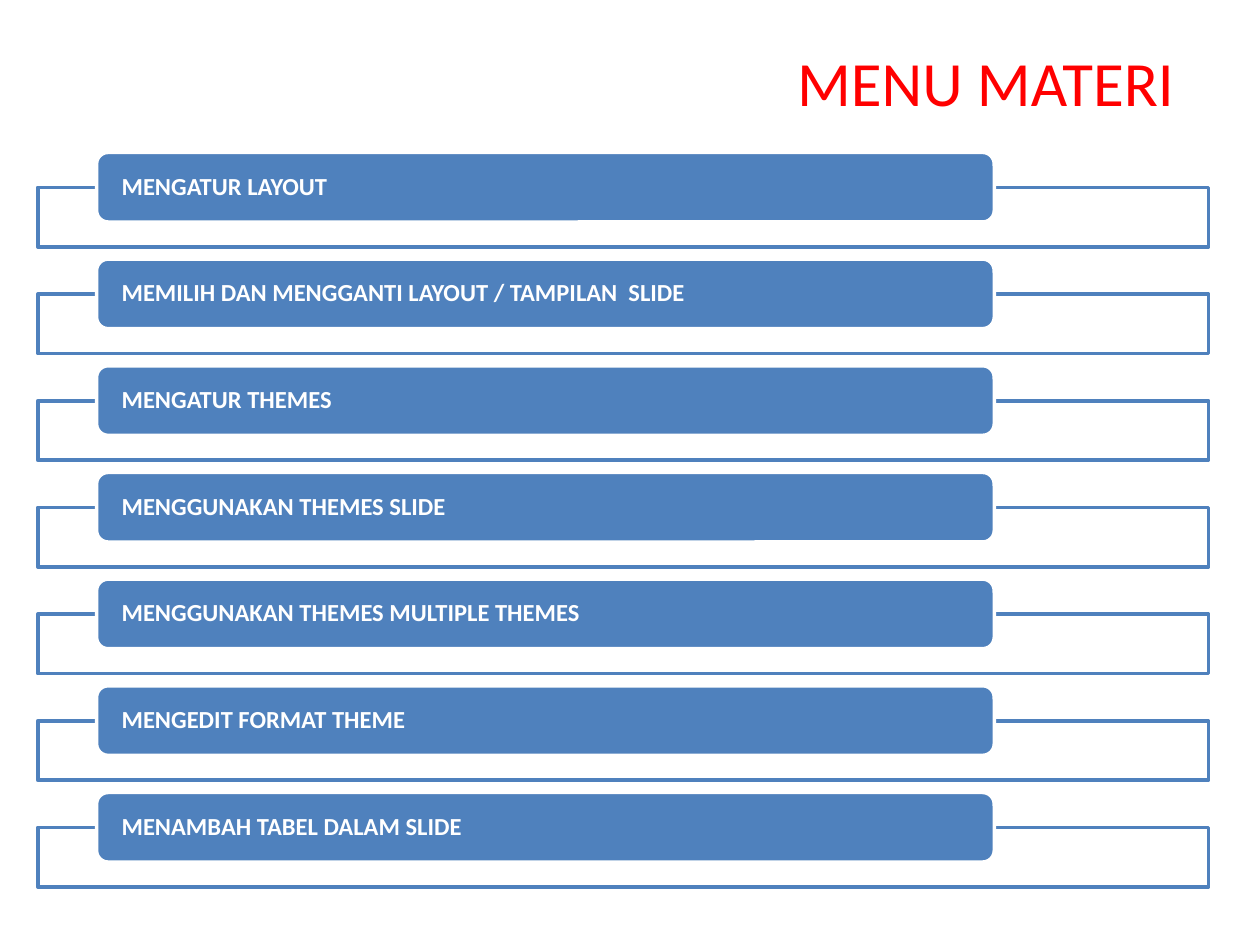
from dataclasses import dataclass

from lxml import etree
from pptx import Presentation
from pptx.dml.color import RGBColor
from pptx.enum.shapes import MSO_SHAPE
from pptx.enum.text import MSO_ANCHOR, PP_ALIGN
from pptx.oxml.ns import qn
from pptx.util import Pt

RECT = MSO_SHAPE.RECTANGLE
ROUNDED = MSO_SHAPE.ROUNDED_RECTANGLE
MIDDLE = MSO_ANCHOR.MIDDLE
LEFT, RIGHT = PP_ALIGN.LEFT, PP_ALIGN.RIGHT

FONT = "Calibri"
BLUE, WHITE, RED = "4F81BD", "FFFFFF", "FF0000"
FIRST_TAB_TOP, PITCH, FRAME_DROP = 87.1, 60.96, 20

TOPICS = [
    "MENGATUR LAYOUT",
    "MEMILIH DAN MENGGANTI LAYOUT / TAMPILAN  SLIDE",
    "MENGATUR THEMES",
    "MENGGUNAKAN THEMES SLIDE",
    "MENGGUNAKAN THEMES MULTIPLE THEMES",
    "MENGEDIT FORMAT THEME",
    "MENAMBAH TABEL DALAM SLIDE",
]


@dataclass(frozen=True)
class Box:
    left: float
    top: float
    width: float
    height: float

    def lengths(self):
        return [Pt(v) for v in (self.left, self.top, self.width, self.height)]


def rgb(value: str) -> RGBColor:
    return RGBColor.from_string(value)


def write(sp, text: str, *, size: float, color: str, bold=False, align=LEFT,
          inset_x=7.2, inset_y=3.6, line_spacing=1.0) -> None:
    tf = sp.text_frame
    tf.word_wrap = True
    tf.vertical_anchor = MIDDLE
    tf.margin_left = tf.margin_right = Pt(inset_x)
    tf.margin_top = tf.margin_bottom = Pt(inset_y)
    p = tf.paragraphs[0]
    p.alignment = align
    p.line_spacing = line_spacing
    r = p.add_run()
    r.text = text
    r.font.name = FONT
    r.font.size = Pt(size)
    r.font.bold = bold
    r.font.color.rgb = rgb(color)


def add_box(s, kind, box: Box, *, fill: str, line: str, opacity=100):
    sp = s.shapes.add_shape(kind, *box.lengths())
    sp.shadow.inherit = False
    sp.fill.solid()
    sp.fill.fore_color.rgb = rgb(fill)
    sp.line.color.rgb = rgb(line)
    sp.line.width = Pt(2)
    if opacity < 100:
        color = sp.fill._xPr.find(qn("a:solidFill"))[0]
        etree.SubElement(color, qn("a:alpha"), val=str(opacity * 1000))
    return sp


def add_topic(s, text: str, top: float) -> None:
    add_box(s, RECT, Box(21.6, top + FRAME_DROP, 669, 34),
            fill=WHITE, line=BLUE, opacity=90)
    tab = add_box(s, ROUNDED, Box(55.2, top, 513, 39.8), fill=BLUE, line=WHITE)
    write(tab, text, size=14, color=WHITE, bold=True,
          inset_x=12.4, inset_y=0, line_spacing=0.9)


def main() -> None:
    prs = Presentation()
    prs.slide_width, prs.slide_height = Pt(720), Pt(540)
    s = prs.slides.add_slide(prs.slide_layouts[6])
    title = s.shapes.add_textbox(*Box(30, 16, 648, 61).lengths())
    write(title, "MENU MATERI", size=36, color=RED, align=RIGHT)
    for i, topic in enumerate(TOPICS):
        add_topic(s, topic, FIRST_TAB_TOP + i * PITCH)
    prs.save("out.pptx")


if __name__ == "__main__":
    main()
